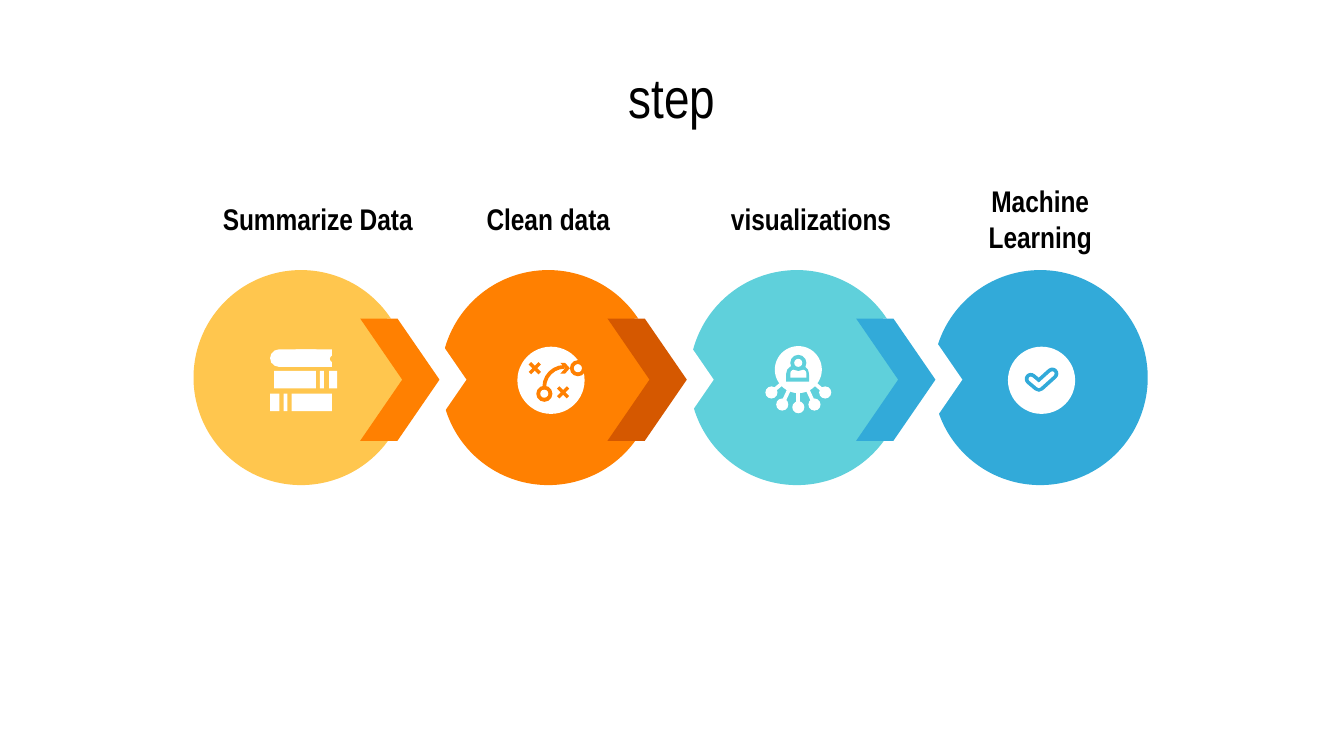
from lxml import etree
from pptx import Presentation
from pptx.dml.color import RGBColor
from pptx.enum import shapes, text
from pptx.oxml import ns
from pptx.util import Inches, Pt

TITLE = "step"
FONT = "Arial Narrow"
COLORS = {"yellow": "FFC64E", "orange": "FF8001", "rust": "D55800",
          "teal": "5FD0DB", "blue": "32AAD9", "white": "FFFFFF", "black": "000000"}
STEPS = [
    ("Summarize Data", 1.44, (1.35, 2.03), "yellow", "orange"),
    ("Clean data", 3.28, (3.28, 1.6), "orange", "rust"),
    ("visualizations", 5.13, (5.13, 1.81), "teal", "blue"),
    ("Machine Learning", 6.94, (6.94, 1.6), "blue", None),
]
CIRCLE_TOP, CIRCLE_SIZE = 2.01, 1.6
LABEL_TOP, LABEL_HEIGHT = 1.24, 0.77
ARROWS = [(1.44, "white"), (1.24, None)]
BOOKS = [(2.2, 2.6, 0.27), (2.04, 2.76, 0.31), (2.38, 2.76, 0.03), (2.45, 2.76, 0.06),
         (2.01, 2.93, 0.07), (2.11, 2.93, 0.03), (2.17, 2.93, 0.3)]
CROSSES = [(3.98, 2.74), (4.19, 2.92)]
RINGS = [(4.05, 2.93, "orange"), (4.3, 2.74, "orange"), (5.94, 2.7, "teal")]
HUB = (5.94, 2.75)
NODES = [(5.74, 2.92), (5.82, 3.01), (5.94, 3.03), (6.06, 3.01), (6.14, 2.92)]
TICK = [(7.67, 2.82), (7.73, 2.87), (7.83, 2.78)]
MSO = shapes.MSO_SHAPE

prs = Presentation()
prs.slide_width = Inches(10)
prs.slide_height = prs.slide_width * 9 // 16
s = prs.slides.add_slide(prs.slide_layouts[5])


def rgb(name):
    return RGBColor.from_string(COLORS[name])


def add(kind, x, y, w, h, color, *adj):
    sp = s.shapes.add_shape(kind, Inches(x), Inches(y), Inches(w), Inches(h))
    sp.shadow.inherit = False
    sp.fill.solid()
    sp.fill.fore_color.rgb = rgb(color)
    sp.line.fill.background()
    for i, value in enumerate(adj):
        sp.adjustments[i] = value
    return sp


def dot(x, y, size, color):
    return add(MSO.OVAL, x - size / 2, y - size / 2, size, size, color)


def outline(sp, color, width):
    sp.line.color.rgb = rgb(color)
    sp.line.width = Pt(width)


def write(sp, words, size, inset, bold=False):
    tf = sp.text_frame
    tf.word_wrap = True
    tf.auto_size = text.MSO_AUTO_SIZE.NONE
    tf.vertical_anchor = text.MSO_ANCHOR.MIDDLE
    tf.margin_left = tf.margin_right = tf.margin_top = tf.margin_bottom = Inches(inset)
    p = tf.paragraphs[0]
    p.text = words
    p.alignment = text.PP_ALIGN.CENTER
    p.font.name, p.font.size, p.font.bold = FONT, Pt(size), bold
    p.font.color.rgb = rgb("black")


def draw_books():
    add(MSO.ROUNDED_RECTANGLE, 2.01, 2.6, 0.4, 0.13, "white", 0.5)
    for x, y, w in BOOKS:
        add(MSO.RECTANGLE, x, y, w, 0.13, "white")
    dot(2.48, 2.67, 0.05, "yellow")


def draw_strategy():
    dot(4.1, 2.83, 0.5, "white")
    for x, y in CROSSES:
        add(MSO.MATH_MULTIPLY, x - 0.07, y - 0.07, 0.14, 0.14, "orange", 0.18)
    curve = add(MSO.ARC, 4.05, 2.73, 0.3, 0.3, "orange", 108, 162)
    curve.fill.background()
    outline(curve, "orange", 2)
    add(MSO.CHEVRON, 4.17, 2.7, 0.07, 0.08, "orange")


def draw_network():
    for x, y in NODES:
        cx = s.shapes.add_connector(shapes.MSO_CONNECTOR.STRAIGHT, Inches(HUB[0]),
                                    Inches(HUB[1]), Inches(x), Inches(y))
        outline(cx, "white", 2)
        etree.SubElement(cx._element.spPr, ns.qn("a:effectLst"))
        dot(x, y, 0.09, "white")
    dot(*HUB, 0.35, "white")
    add(MSO.ROUND_2_SAME_RECTANGLE, 5.85, 2.72, 0.17, 0.12, "teal", 0.5, 0)
    add(MSO.ROUND_2_SAME_RECTANGLE, 5.88, 2.75, 0.12, 0.06, "white", 0.5, 0)


def draw_check():
    dot(7.75, 2.83, 0.5, "white")
    points = [(Inches(x), Inches(y)) for x, y in TICK]
    for color, width in [("blue", 6.5), ("white", 2.5)]:
        fb = s.shapes.build_freeform(*points[0])
        fb.add_line_segments(points[1:], close=False)
        sp = fb.convert_to_shape()
        sp.shadow.inherit = False
        sp.fill.background()
        outline(sp, color, width)
        ln = sp.line._get_or_add_ln()
        ln.set("cap", "rnd")
        etree.SubElement(ln, ns.qn("a:round"))


title = s.shapes.title
title.left, title.top, title.width, title.height = map(Inches, (0.5, 0.45, 9, 0.53))
write(title, TITLE, 30, 0.1)

for label, left, (label_left, label_width), color, arrow in reversed(STEPS):
    add(MSO.ROUNDED_RECTANGLE, left, CIRCLE_TOP, CIRCLE_SIZE, CIRCLE_SIZE, color, 0.5)
    if arrow:
        for offset, fill in ARROWS:
            add(MSO.CHEVRON, left + offset, 2.37, 0.59, 0.91, fill or arrow, 0.53)
    box = s.shapes.add_textbox(Inches(label_left), Inches(LABEL_TOP),
                               Inches(label_width), Inches(LABEL_HEIGHT))
    write(box, label, 16, 0.25, True)

for draw in (draw_books, draw_strategy, draw_network, draw_check):
    draw()
for x, y, color in RINGS:
    dot(x, y, 0.12, color)
    dot(x, y, 0.06, "white")

prs.save("out.pptx")
